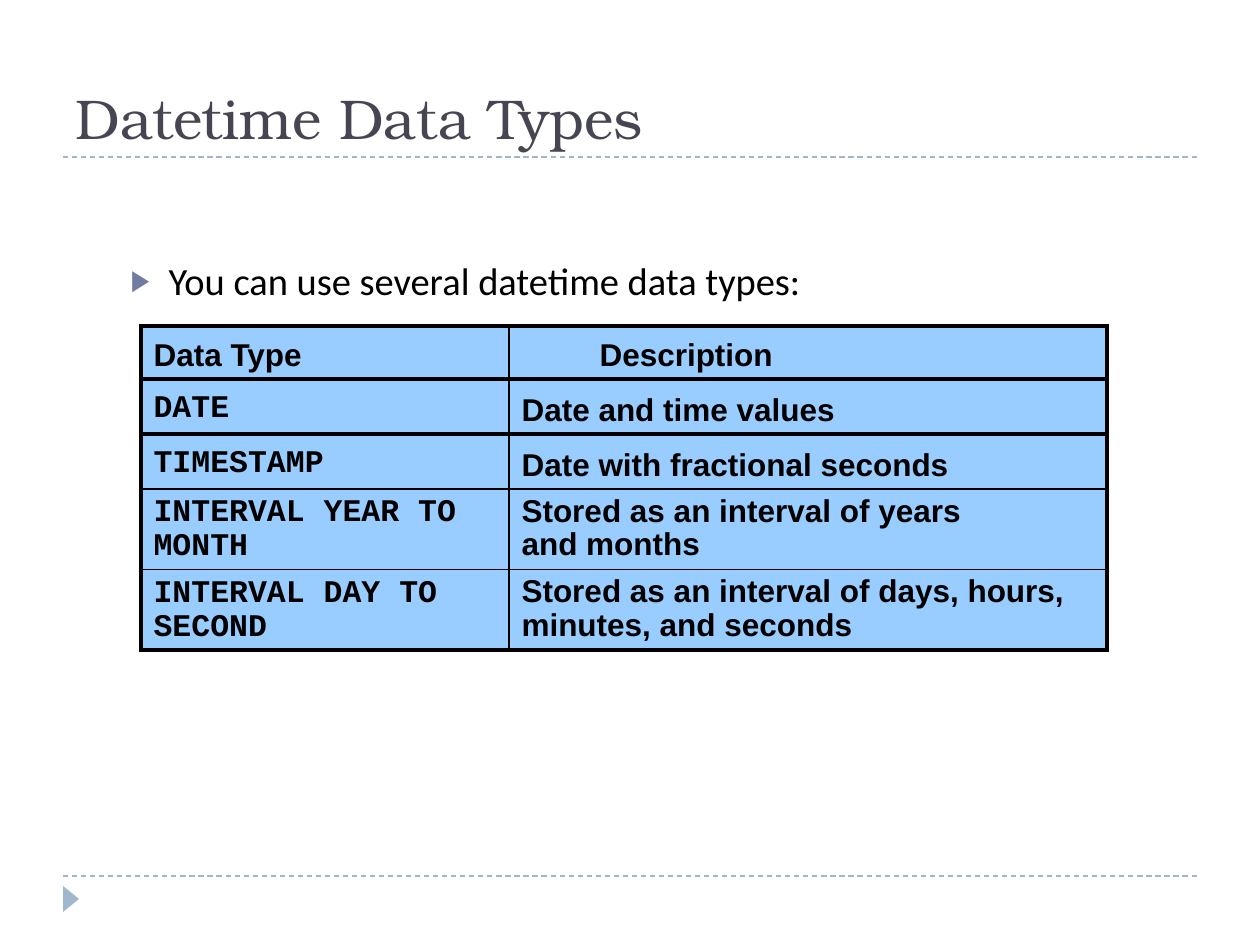
"""Build the slide on datetime data types."""
from lxml import etree
from pptx import Presentation
from pptx import util as u
from pptx.dml.color import RGBColor
from pptx.enum import dml, shapes, text
from pptx.oxml.ns import qn

BLACK = RGBColor(0x00, 0x00, 0x00)
INK = RGBColor(0x46, 0x46, 0x53)
MIST = RGBColor(0x9F, 0xB8, 0xCD)
SLATE = RGBColor(0x72, 0x7C, 0xA3)
SKY = RGBColor(0x99, 0xCC, 0xFF)

SCALE = 914400 / 126
THICK, THIN = 2.25, 1

ROWS = [
    (53, 1.15, 1.15, "Data Type", "Description"),
    (55, 1.15, 1.2, "DATE", "Date and time values"),
    (55, 1.15, 1.2, "TIMESTAMP", "Date with fractional seconds"),
    (80, 0.95, 0.95, "INTERVAL YEAR TO MONTH",
     "Stored as an interval of years\vand months"),
    (80, 0.95, 0.95, "INTERVAL DAY TO SECOND",
     "Stored as an interval of days, hours, minutes, and seconds"),
]


def px(n):
    return u.Emu(round(n * SCALE))


def node(root, tag, **attrs):
    return etree.SubElement(root, qn(tag), attrs)


class Deck:
    """Hold the style and the current slide."""

    def __init__(self):
        self.prs = Presentation()
        self.prs.slide_width, self.prs.slide_height = px(1260), px(945)
        self.page = self.prs.slides.add_slide(self.prs.slide_layouts[1])
        self.head = {"name": "TeX Gyre Bonum", "size": u.Pt(32), "color": INK}
        self.list = {"name": "Calibri", "size": u.Pt(22), "color": BLACK}
        self.cell = {"name": "Arial", "size": u.Pt(18), "bold": True, "color": BLACK}
        self.code = {**self.cell, "name": "Courier New"}

    def label(self, frame, words, style):
        frame.text = words
        para = frame.paragraphs[0]
        para.alignment = text.PP_ALIGN.LEFT
        for run in para.runs:
            for key, val in style.items():
                if key == "color":
                    run.font.color.rgb = val
                else:
                    setattr(run.font, key, val)
        return para

    def place(self, shape, box, words, style, anchor):
        for key, val in zip(("left", "top", "width", "height"), box):
            setattr(shape, key, px(val))
        frame = shape.text_frame
        form = {"word_wrap": True, "vertical_anchor": anchor,
                "auto_size": text.MSO_AUTO_SIZE.NONE}
        for key, val in form.items():
            setattr(frame, key, val)
        return self.label(frame, words, style)

    def title(self, box, words):
        self.place(self.page.shapes.title, box, words, self.head,
                   text.MSO_ANCHOR.BOTTOM)

    def body(self, box, words):
        para = self.place(self.page.placeholders[1], box, words, self.list,
                          text.MSO_ANCHOR.TOP)
        para.space_before = u.Pt(6)
        props = para._p.get_or_add_pPr()
        props.set("marL", str(px(38)))
        props.set("indent", str(px(-38)))
        node(node(props, "a:buClr"), "a:srgbClr", val=str(SLATE))
        node(props, "a:buSzPct", val="76000")
        node(props, "a:buChar", char="▶")

    def rule(self, left, right, y):
        line = self.page.shapes.add_connector(
            shapes.MSO_CONNECTOR.STRAIGHT, px(left), px(y), px(right), px(y))
        line.line.color.rgb = MIST
        line.line.width = u.Pt(0.75)
        line.line.dash_style = dml.MSO_LINE.DASH
        node(line._element.spPr, "a:effectLst")

    def mark(self, *box):
        shape = self.page.shapes.add_shape(
            shapes.MSO_SHAPE.ISOSCELES_TRIANGLE, *map(px, box))
        shape.rotation = 90
        shape.shadow.inherit = False
        shape.fill.solid()
        shape.fill.fore_color.rgb = MIST
        shape.line.fill.background()

    def edge(self, cell, side, width):
        line = node(cell._tc.get_or_add_tcPr(), f"a:ln{side}", w=str(u.Pt(width)))
        node(node(line, "a:solidFill"), "a:srgbClr", val=str(BLACK))

    def table(self, left, top, cols, rows):
        high = sum(row[0] for row in rows)
        grid = self.page.shapes.add_table(
            len(rows), len(cols), px(left), px(top), px(sum(cols)), px(high)).table
        grid.first_row = grid.horz_banding = False
        for col, wide in zip(grid.columns, cols):
            col.width = px(wide)
        for r, (tall, *rest) in enumerate(rows):
            grid.rows[r].height = px(tall)
            for c in range(len(cols)):
                cell = grid.cell(r, c)
                style = self.code if r and c == 0 else self.cell
                para = self.label(cell.text_frame, rest[c + 2], style)
                para.line_spacing = rest[c]
                heavy = {"L": c == 0, "R": c == len(cols) - 1,
                         "T": r < 3, "B": r in (0, 1, len(rows) - 1)}
                for side, bold in heavy.items():
                    self.edge(cell, side, THICK if bold else THIN)
                cell.fill.solid()
                cell.fill.fore_color.rgb = SKY
        para = grid.cell(0, 1).text_frame.paragraphs[0]
        para._p.get_or_add_pPr().set("marL", str(px(78)))


def main():
    deck = Deck()
    for y in (157, 876):
        deck.rule(63, 1197, y)
    deck.mark(58, 891, 26, 16)
    deck.title((63, 21, 1134, 136), "Datetime Data Types")
    deck.body((118, 251, 1016, 49), "You can use several datetime data types:")
    deck.table(141, 326, (368, 598), ROWS)
    deck.prs.save("out.pptx")


if __name__ == "__main__":
    main()
